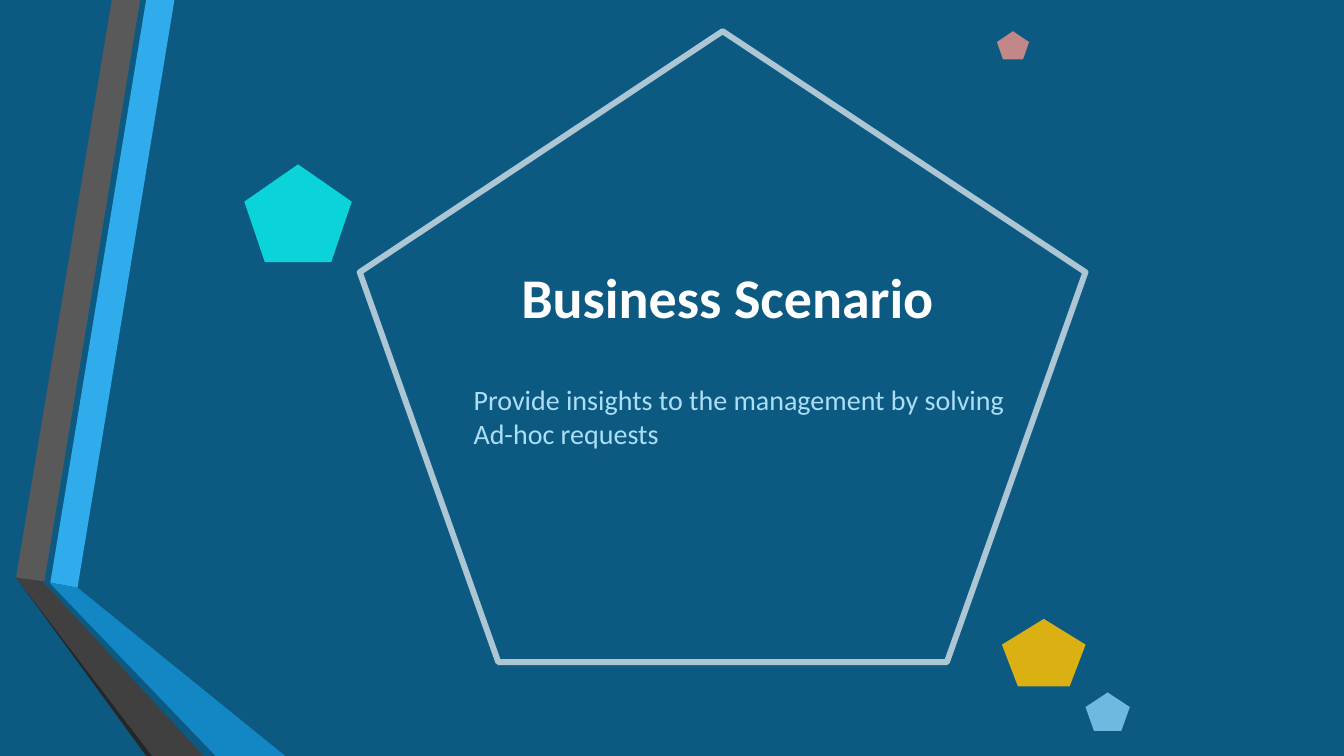
import pptx
import pptx.dml.color
import pptx.enum.shapes
import pptx.enum.text
import pptx.oxml
import pptx.oxml.ns
import pptx.util

COLORS = {
    "background": "0C5A82",
    "white": "FFFFFF",
    "subtitle": "ACDEF7",
    "sky": "30ACEC",
    "blue": "1287C3",
    "gray": "595959",
    "charcoal": "404040",
    "black": "262626",
    "pale blue": "83CDF4",
    "gold": "FFC000",
    "aqua": "0AFFFA",
    "coral": "E69289",
}

# Ribbon colour and corner points, from back to front
RIBBONS = [
    ("sky", [(36, 416.2), (55.4, 419.8), (124.6, 0), (104.4, 0)]),
    ("gray", [(100.1, 0), (79.9, 0), (11.5, 412.6), (31.7, 415.4)]),
    ("black", [(11.5, 412.6), (104.4, 540), (108.7, 540)]),
    ("blue", [(36, 416.2), (36, 416.9), (154.1, 540), (203.8, 540), (55.4, 419.8)]),
    ("charcoal", [(11.5, 412.6), (108.7, 540), (145.4, 540), (34.6, 419.8),
                  (31, 416.2), (31.7, 415.4)]),
]

# Colour, opacity in percent, and frame (left, top, width, height)
ACCENTS = [
    ("pale blue", 83, (775.4, 494.6, 31.7, 27.4)),
    ("gold", 85, (715.7, 442.1, 59.8, 48.2)),
    ("aqua", 74, (174.5, 117.4, 76.8, 69.8)),
    ("coral", 83, (712.1, 22.3, 23, 20.2)),
]


class SlideBuilder:
    font_name = "Calibri"

    def __init__(self, slide):
        self.slide = slide
        self.shapes = slide.shapes

    def paint(self, fill, color, opacity=100):
        fill.solid()
        fill.fore_color.rgb = pptx.dml.color.RGBColor.from_string(COLORS[color])
        if opacity < 100:
            srgb = fill._xPr.find(".//" + pptx.oxml.ns.qn("a:srgbClr"))
            srgb.append(pptx.oxml.parse_xml(
                f'<a:alpha {pptx.oxml.ns.nsdecls("a")} val="{opacity * 1000}"/>'))

    def ribbon(self, color, corners):
        points = [(pptx.util.Pt(x), pptx.util.Pt(y)) for x, y in corners]
        outline = self.shapes.build_freeform(*points[0], scale=1.0)
        outline.add_line_segments(points[1:], close=True)
        band = outline.convert_to_shape()
        band.shadow.inherit = False
        band.line.fill.background()
        self.paint(band.fill, color)

    def pentagon(self, frame):
        pentagon = self.shapes.add_shape(
            pptx.enum.shapes.MSO_SHAPE.REGULAR_PENTAGON, *map(pptx.util.Pt, frame))
        pentagon.shadow.inherit = False
        return pentagon

    def accent(self, color, opacity, frame):
        accent = self.pentagon(frame)
        accent.line.fill.background()
        self.paint(accent.fill, color, opacity)

    def outline(self, color, opacity, width, frame):
        outline = self.pentagon(frame)
        outline.fill.background()
        outline.line.width = pptx.util.Pt(width)
        self.paint(outline.line.fill, color, opacity)
        outline.line._ln.append(pptx.oxml.parse_xml(
            f'<a:round {pptx.oxml.ns.nsdecls("a")}/>'))

    def set_text(self, holder, text, color, size, bold, align, anchor):
        frame_format = {
            "word_wrap": True,
            "auto_size": pptx.enum.text.MSO_AUTO_SIZE.NONE,
            "vertical_anchor": anchor,
        }
        for name, value in frame_format.items():
            setattr(holder.text_frame, name, value)
        paragraph = holder.text_frame.paragraphs[0]
        paragraph.alignment = align
        run = paragraph.add_run()
        run.text = text
        font_format = {"name": self.font_name, "size": pptx.util.Pt(size), "bold": bold}
        for name, value in font_format.items():
            setattr(run.font, name, value)
        self.paint(run.font.fill, color)

    def title(self, text, frame):
        title = self.shapes.title
        for name, value in zip(("left", "top", "width", "height"), frame):
            setattr(title, name, pptx.util.Pt(value))
        self.set_text(title, text, "white", 40, True,
                      pptx.enum.text.PP_ALIGN.CENTER, pptx.enum.text.MSO_ANCHOR.MIDDLE)

    def body(self, text, frame):
        body = self.shapes.add_textbox(*map(pptx.util.Pt, frame))
        self.set_text(body, text, "subtitle", 20, False,
                      pptx.enum.text.PP_ALIGN.LEFT, pptx.enum.text.MSO_ANCHOR.TOP)


def main():
    deck = pptx.Presentation()
    deck.slide_width, deck.slide_height = pptx.util.Pt(960), pptx.util.Pt(540)
    title_only = deck.slide_layouts.get_by_name("Title Only")
    scenario = SlideBuilder(deck.slides.add_slide(title_only))
    scenario.paint(scenario.slide.background.fill, "background")
    for color, corners in RIBBONS:
        scenario.ribbon(color, corners)
    scenario.outline("white", 65, 4.25, (257, 22.3, 518.4, 450.7))
    scenario.title("Business Scenario ", (345.6, 161.3, 357.1, 100.8))
    for color, opacity, frame in ACCENTS:
        scenario.accent(color, opacity, frame)
    scenario.body("Provide insights to the management by solving Ad-hoc requests",
                  (331.2, 270, 414.7, 55.4))
    deck.save("out.pptx")


if __name__ == "__main__":
    main()
